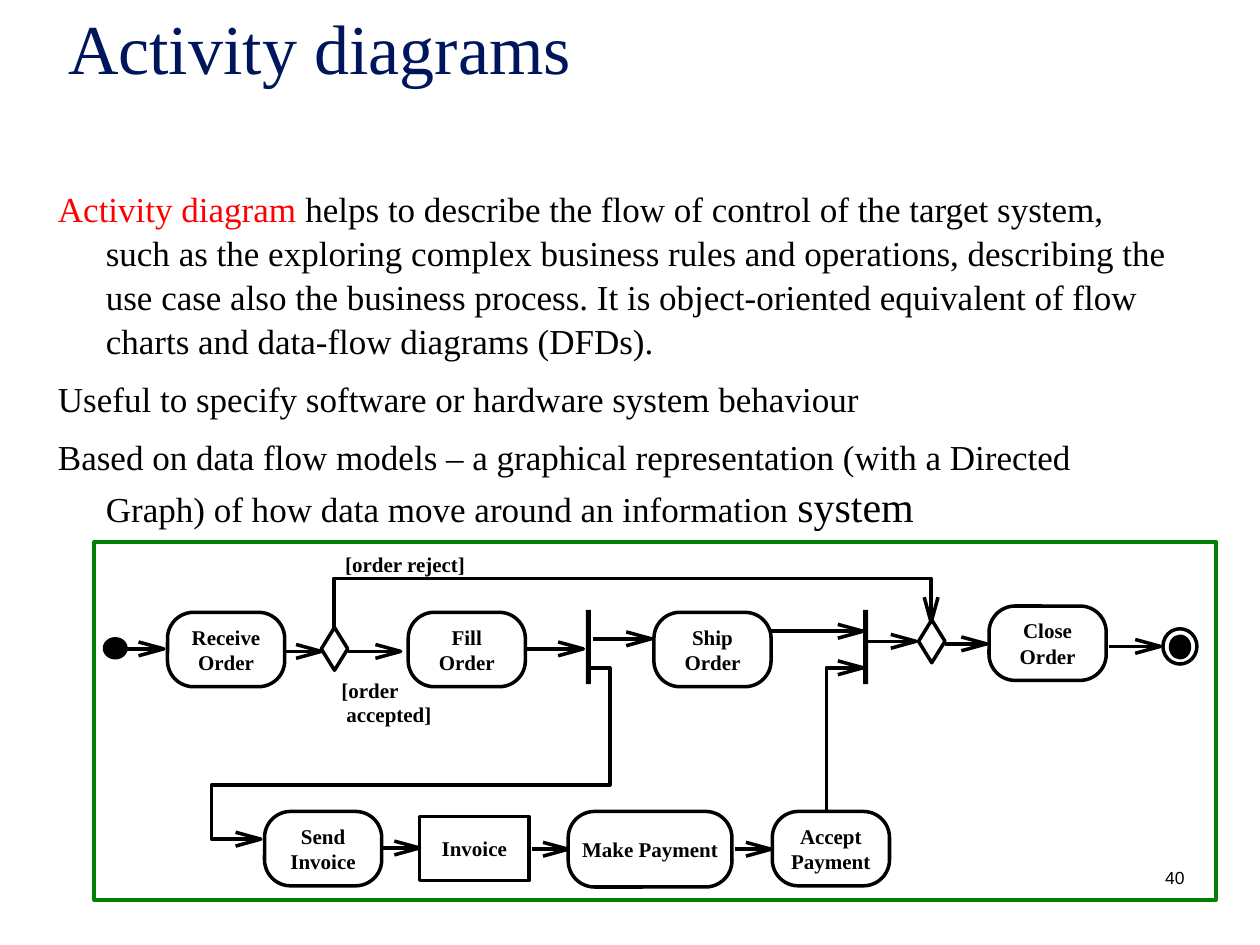
import pptx
import pptx.util
from lxml import etree
from pptx.dml.color import RGBColor
from pptx.enum.shapes import MSO_CONNECTOR, MSO_SHAPE
from pptx.enum.text import MSO_ANCHOR, MSO_AUTO_SIZE, PP_ALIGN
from pptx.oxml.ns import qn

Inches, Pt = pptx.util.Inches, pptx.util.Pt
SERIF, SANS = "Times New Roman", "Arial"
NAVY = RGBColor(0x00, 0x16, 0x5C)
RED = RGBColor(0xFF, 0x00, 0x00)
BLACK = RGBColor(0x00, 0x00, 0x00)
GREEN = RGBColor(0x00, 0x80, 0x00)

# Content: each body paragraph is a list of (text, size, colour)
TITLE = "Activity diagrams"
BODY = [
    [("Activity diagram ", 20, RED),
     ("helps to describe the flow of control of the target system, such as the "
      "exploring complex business rules and operations, describing the use case "
      "also the business process. It is object-oriented equivalent of flow charts "
      "and data-flow diagrams (DFDs).", 20, BLACK)],
    [("Useful to specify software or hardware system behaviour", 20, BLACK)],
    [("Based on data flow models – a graphical representation (with a Directed "
      "Graph) of how data move around an information ", 20, BLACK),
     ("system", 24, BLACK)],
]

# Activities: text, left, top, width, height
ACTIVITIES = [
    ("Receive\nOrder", 1.33, 4.86, 0.93, 0.59),
    ("Fill\nOrder", 3.24, 4.86, 0.93, 0.59),
    ("Ship\nOrder", 5.19, 4.86, 0.93, 0.59),
    ("Close\nOrder", 7.85, 4.81, 0.93, 0.59),
    ("Send\nInvoice", 2.1, 6.44, 0.93, 0.59),
    ("Make Payment", 4.51, 6.44, 1.3, 0.6),
    ("Accept\nPayment", 6.13, 6.44, 0.93, 0.59),
]
INVOICE = ("Invoice", 3.33, 6.48, 0.87, 0.51)
DECISIONS = [(2.55, 4.98), (7.29, 4.92)]
BARS = [4.65, 6.85]
GUARDS = [("[order reject]", 2.74, 4.38), ("[order", 2.71, 5.38), ("accepted]", 2.75, 5.57)]

# Flows: straight ones as (from x, to x, y), bent ones as corner points
STRAIGHT = [
    (0.99, 1.3, 5.15), (2.26, 2.55, 5.17), (2.76, 3.18, 5.17), (4.17, 4.63, 5.15),
    (4.71, 5.17, 5.07), (6.1, 6.85, 5.01), (6.89, 7.27, 5.09), (7.5, 7.83, 5.11),
    (8.8, 9.21, 5.13), (3.04, 3.33, 6.73), (4.22, 4.51, 6.74), (5.83, 6.12, 6.74),
]
BENT = [
    [(2.65, 5.01), (2.65, 4.59), (7.39, 4.59), (7.39, 4.94)],
    [(4.69, 5.3), (4.84, 5.3), (4.84, 6.23), (1.68, 6.23), (1.68, 6.66), (2.07, 6.66)],
    [(6.56, 6.44), (6.56, 5.3), (6.85, 5.3)],
]
HEAD_LENGTH, HEAD_HALF = 0.2, 0.055

prs = pptx.Presentation()
prs.slide_width, prs.slide_height = Inches(10), Inches(7.5)
s = prs.slides.add_slide(prs.slide_layouts[1])


def place(sp, *box):
    sp.left, sp.top, sp.width, sp.height = map(Inches, box)


def style_font(font, size, color=BLACK, name=SERIF, bold=False):
    font.name, font.size, font.bold = name, Pt(size), bold
    font.color.rgb = color


def outline(sp, color=BLACK, width=2, fill=None):
    sp.shadow.inherit = False
    sp.line.color.rgb, sp.line.width = color, Pt(width)
    if fill is None:
        sp.fill.background()
    else:
        sp.fill.solid()
        sp.fill.fore_color.rgb = fill


def add_node(kind, *box, **look):
    sp = s.shapes.add_shape(kind, *map(Inches, box))
    outline(sp, **look)
    return sp


def label(sp, text, align=PP_ALIGN.CENTER, anchor=MSO_ANCHOR.MIDDLE):
    tf = sp.text_frame
    tf.margin_left = tf.margin_right = tf.margin_top = tf.margin_bottom = 0
    tf.word_wrap, tf.vertical_anchor = False, anchor
    tf.text = text
    for p in tf.paragraphs:
        p.alignment = align
        style_font(p.runs[0].font, 12, bold=True)


def polyline(points):
    pts = [(Inches(x), Inches(y)) for x, y in points]
    fb = s.shapes.build_freeform(*pts[0])
    fb.add_line_segments(pts[1:], close=False)
    outline(fb.convert_to_shape())


def arrowhead(start, tip):
    (x0, y0), (x, y) = start, tip
    length = abs(x - x0) + abs(y - y0)
    dx, dy = (x - x0) / length, (y - y0) / length
    bx, by = x - HEAD_LENGTH * dx, y - HEAD_LENGTH * dy
    polyline([(bx - HEAD_HALF * dy, by - HEAD_HALF * dx), tip,
              (bx + HEAD_HALF * dy, by + HEAD_HALF * dx)])


# Title
title = s.shapes.title
place(title, 0.44, 0.17, 8.5, 0.58)
tf = title.text_frame
tf.text = TITLE
tf.auto_size, tf.vertical_anchor = MSO_AUTO_SIZE.NONE, MSO_ANCHOR.BOTTOM
tf.paragraphs[0].alignment = PP_ALIGN.LEFT
style_font(tf.paragraphs[0].runs[0].font, 40, NAVY)

# Body with hanging indents
body = s.placeholders[1]
place(body, 0.36, 1.42, 9, 3)
tf = body.text_frame
tf.auto_size = MSO_AUTO_SIZE.NONE
for i, pieces in enumerate(BODY):
    p = tf.add_paragraph() if i else tf.paragraphs[0]
    pPr = p._p.get_or_add_pPr()
    pPr.set("marL", str(Inches(0.38)))
    pPr.set("indent", str(Inches(-0.38)))
    etree.SubElement(pPr, qn("a:buNone"))
    p.space_before, p.line_spacing = Pt(8 if i else 0), 1.05
    for text, size, color in pieces:
        r = p.add_run()
        r.text = text
        style_font(r.font, size, color)

# Activities and the invoice object
for text, *box in ACTIVITIES:
    sp = add_node(MSO_SHAPE.ROUNDED_RECTANGLE, *box)
    sp.adjustments[0] = 0.35
    label(sp, text)
label(add_node(MSO_SHAPE.RECTANGLE, *INVOICE[1:]), INVOICE[0])

# Decisions, fork and join bars, start and end nodes
for x, y in DECISIONS:
    add_node(MSO_SHAPE.DIAMOND, x, y, 0.21, 0.34)
for x in BARS:
    bar = add_node(MSO_SHAPE.RECTANGLE, x, 4.84, 0.04, 0.59, fill=BLACK)
    bar.line.fill.background()
add_node(MSO_SHAPE.OVAL, 0.83, 5.07, 0.17, 0.15, fill=BLACK)
add_node(MSO_SHAPE.OVAL, 9.23, 4.99, 0.27, 0.28)
add_node(MSO_SHAPE.OVAL, 9.29, 5.05, 0.15, 0.17, fill=BLACK)

# Flows with open arrowheads
for x1, x2, y in STRAIGHT:
    c = s.shapes.add_connector(MSO_CONNECTOR.STRAIGHT, *map(Inches, (x1, y, x2, y)))
    c.line.color.rgb, c.line.width = BLACK, Pt(2)
    etree.SubElement(c._element.spPr, qn("a:effectLst"))
    arrowhead((x1, y), (x2, y))
for points in BENT:
    polyline(points)
    arrowhead(*points[-2:])

# Guard conditions
for text, x, y in GUARDS:
    tb = s.shapes.add_textbox(Inches(x), Inches(y), Inches(0.96), Inches(0.2))
    label(tb, text, PP_ALIGN.LEFT, MSO_ANCHOR.TOP)

# Frame and page number
add_node(MSO_SHAPE.RECTANGLE, 0.75, 4.3, 8.9, 2.84, color=GREEN, width=2.25)
tb = s.shapes.add_textbox(Inches(7.17), Inches(6.83), Inches(2.33), Inches(0.5))
tb.text_frame.word_wrap = True
p = tb.text_frame.paragraphs[0]
p.text, p.alignment = "40", PP_ALIGN.RIGHT
style_font(p.runs[0].font, 10, name=SANS)

prs.save("out.pptx")
